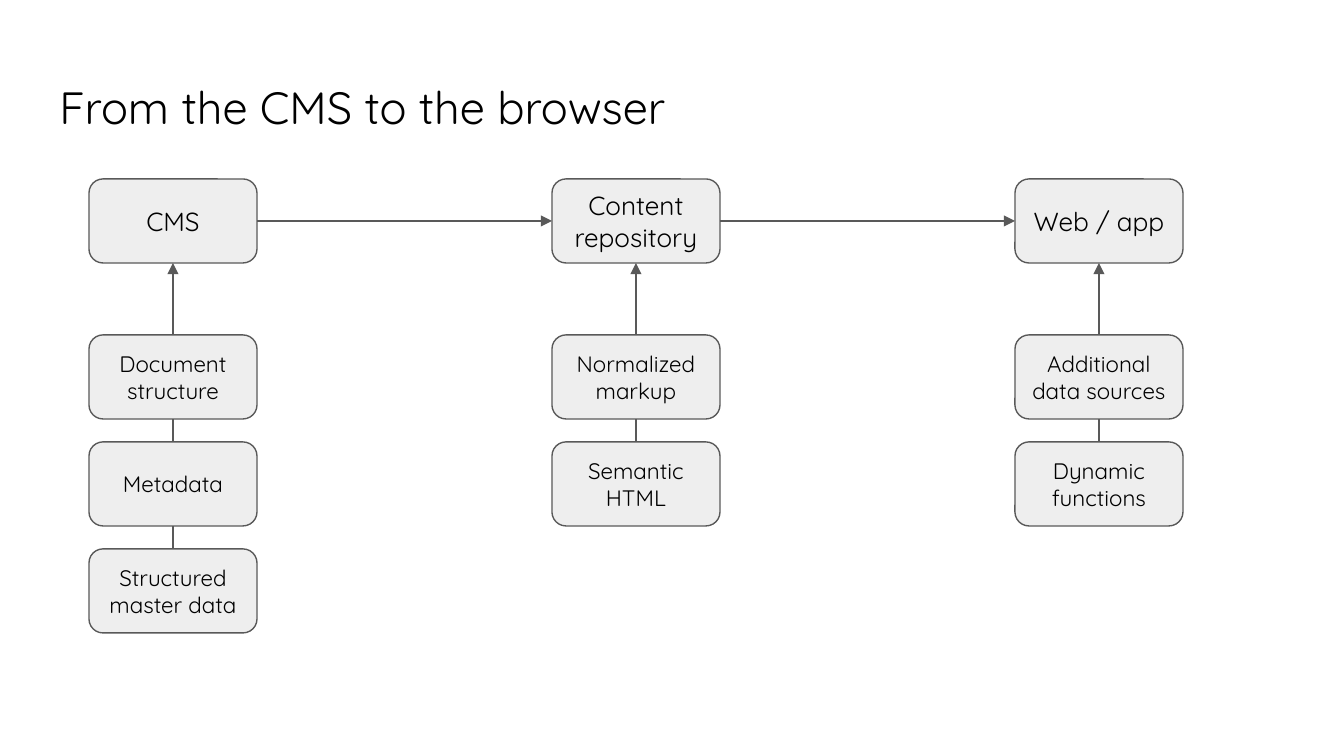
from pptx import Presentation
from pptx import util as u
from pptx.dml.color import RGBColor
from pptx.enum import shapes, text
from pptx.oxml.ns import qn
from lxml import etree

PX = 914400 / 134.4
FONT = "Quicksand"
BLACK = RGBColor(0x00, 0x00, 0x00)
GREY = RGBColor(0x59, 0x59, 0x59)
PALE = RGBColor(0xEE, 0xEE, 0xEE)

BOX_W, BOX_H = 168, 84
LEFT, COLUMN_STEP = 89, 463
STAGE_TOP = 179
INPUT_TOP, INPUT_STEP = 335, 107
TOP_SIDE, LEFT_SIDE, BOTTOM_SIDE, RIGHT_SIDE = range(4)

STAGES = [
    ("CMS", ["Document structure", "Metadata", "Structured master data"]),
    ("Content repository", ["Normalized markup", "Semantic HTML"]),
    ("Web / app", ["Additional data sources", "Dynamic functions"]),
]


def px(n):
    return u.Emu(round(n * PX))


def write(sp, words, size, align=text.PP_ALIGN.CENTER, anchor=text.MSO_ANCHOR.MIDDLE):
    tf = sp.text_frame
    tf.word_wrap = True
    tf.auto_size = text.MSO_AUTO_SIZE.NONE
    tf.vertical_anchor = anchor
    tf.margin_left = tf.margin_right = tf.margin_top = tf.margin_bottom = u.Inches(0.1)
    p = tf.paragraphs[0]
    p.alignment = align
    r = p.add_run()
    r.text = words
    r.font.name = FONT
    r.font.size = u.Pt(size)
    r.font.color.rgb = BLACK


def add_title(s, words):
    sp = s.shapes.title
    sp.left, sp.top, sp.width, sp.height = px(46), px(66), px(1252), px(85)
    write(sp, words, 24.2, align=text.PP_ALIGN.LEFT, anchor=text.MSO_ANCHOR.TOP)


def add_box(s, x, y, words, size):
    sp = s.shapes.add_shape(shapes.MSO_SHAPE.ROUNDED_RECTANGLE,
                            px(x), px(y), px(BOX_W), px(BOX_H))
    sp.shadow.inherit = False
    sp.fill.solid()
    sp.fill.fore_color.rgb = PALE
    sp.line.color.rgb = GREY
    sp.line.width = u.Pt(0.75)
    write(sp, words, size)
    return sp


def join(s, start, start_side, end, end_side, arrow=False):
    """Connect the middles of two box sides, with an optional arrowhead at the end."""
    line = s.shapes.add_connector(shapes.MSO_CONNECTOR.STRAIGHT, 0, 0, 0, 0)
    line.begin_connect(start, start_side)
    line.end_connect(end, end_side)
    line.line.color.rgb = GREY
    line.line.width = u.Pt(0.75)
    if arrow:
        etree.SubElement(line.line._get_or_add_ln(), qn("a:tailEnd"), type="triangle")
    etree.SubElement(line._element.spPr, qn("a:effectLst"))


def add_stage(s, x, name, inputs):
    """Draw a stage box with its stack of inputs feeding up into it."""
    stage = above = add_box(s, x, STAGE_TOP, name, 14)
    for row, words in enumerate(inputs):
        box = add_box(s, x, INPUT_TOP + row * INPUT_STEP, words, 12)
        join(s, box, TOP_SIDE, above, BOTTOM_SIDE, arrow=above is stage)
        above = box
    return stage


def main():
    prs = Presentation()
    prs.slide_width, prs.slide_height = px(1344), px(756)
    s = prs.slides.add_slide(prs.slide_layouts[5])
    add_title(s, "From the CMS to the browser")
    stages = [add_stage(s, LEFT + i * COLUMN_STEP, name, inputs)
              for i, (name, inputs) in enumerate(STAGES)]
    for start, end in zip(stages, stages[1:]):
        join(s, start, RIGHT_SIDE, end, LEFT_SIDE, arrow=True)
    prs.save("out.pptx")


if __name__ == "__main__":
    main()
